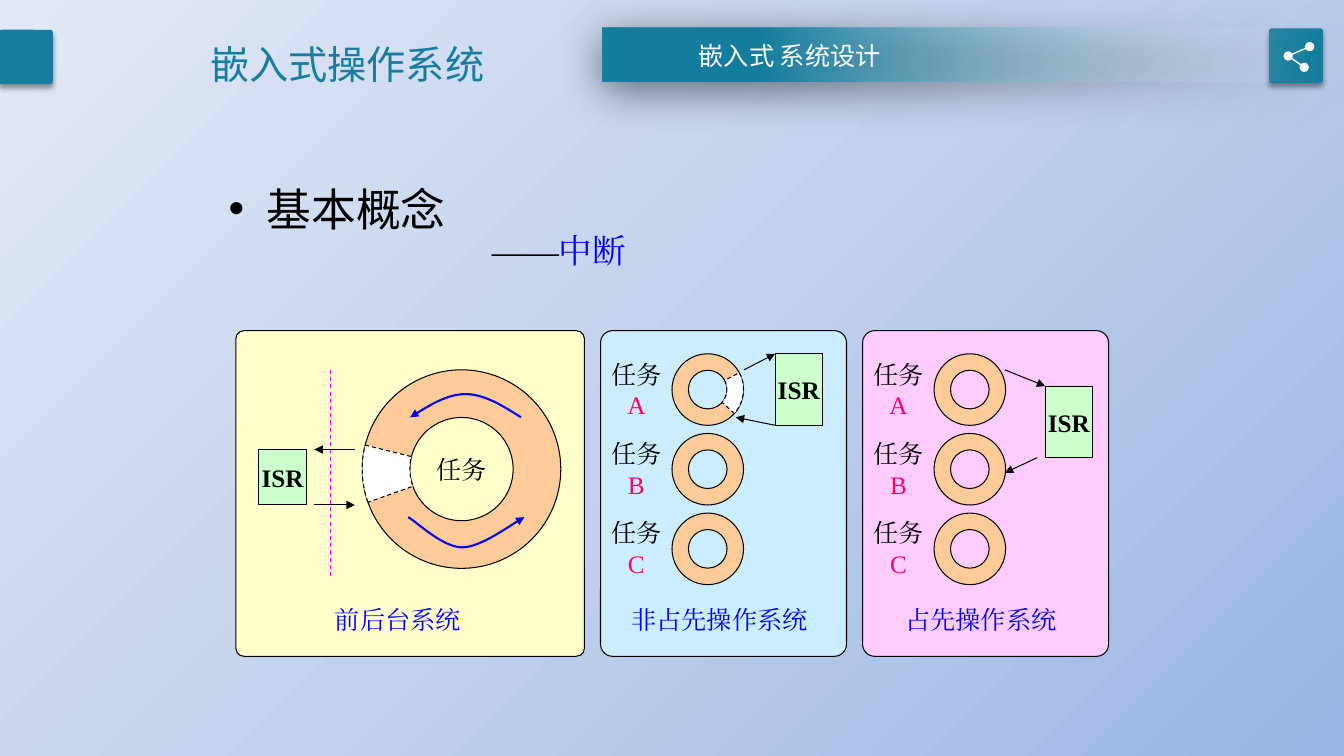
"""Builds a slide on interrupts in three kinds of embedded systems."""
from math import cos, radians, sin

from lxml import etree
from pptx import Presentation
from pptx.dml import color
from pptx.enum import dml, shapes, text
from pptx.oxml import ns
from pptx.util import Pt

KIND = shapes.MSO_SHAPE
MID = text.PP_ALIGN.CENTER
SANS, SERIF = "Noto Sans CJK SC", "Times New Roman"
TEAL, BLUE, ROSE, PEACH, MINT = "157E9F", "0000FF", "FF0066", "FFCC99", "CCFFCC"
BLACK, WHITE = "000000", "FFFFFF"

TITLE, HEAD = "嵌入式操作系统", "嵌入式 系统设计"
TOPIC, SUB = "基本概念", [("——", BLACK), ("中断", BLUE)]
TASK, NAMES, ISR = "任务", "ABC", "ISR"
TOP, TALL = 236.2, 232.6
PANELS = [
    dict(x=168.5, w=249, fill="FFFFCC", adj=0.025, name="前后台系统", mid=284.2, isr=(185, 321.1, 33.8, 39.6)),
    dict(x=429, w=175.7, fill="CCECFF", adj=0.049, name="非占先操作系统", mid=514, isr=(553.7, 252.7, 33.8, 51.1)),
    dict(x=616.2, w=175.7, fill="FFCCFF", adj=0.049, name="占先操作系统", mid=700.7, isr=(746.6, 275.8, 33.8, 51.1)),
]
ARROWS = [
    (253.4, 321.1, 224.6, 321.1), (224.6, 360.7, 253.4, 360.7),
    (531.4, 264.2, 553.7, 252.7), (553.7, 303.8, 525.6, 298.1),
    (717.8, 264.2, 746.6, 275.8), (740.9, 326.9, 717.8, 337.7),
]
TURNS = [
    [[(291.6, 369.4), (298, 373), (316, 391), (330.3, 391), (344, 391), (366, 374), (374.6, 369.4)]],
    [[(372.2, 298.1), (359.3, 290), (346, 281.5), (332.6, 281.5), (319, 281.5), (306, 290), (293, 298.1)]],
]
BIG, SMALL, PITCH = (258.8, 264.2, 141.8), 51.1, 56.9
NODES = [(935.5, 33.3), (920.2, 40), (931.6, 48.1)]


def rgb(code):
    return color.RGBColor.from_string(code)


def add(parent, tag, **attrs):
    return etree.SubElement(parent, ns.qn("a:" + tag), {k: str(v) for k, v in attrs.items()})


def stops(parent, items):
    fill = add(parent, "gradFill", rotWithShape=1)
    group = add(fill, "gsLst")
    for pos, code, alpha in items:
        tint = add(add(group, "gs", pos=pos * 1000), "srgbClr", val=code)
        if alpha < 100:
            add(tint, "alpha", val=alpha * 1000)
    return fill


def paint(item, fill=None, line=None, wide=0.75, dash=False, arrow=False):
    item.shadow.inherit = False
    if fill:
        item.fill.solid()
        item.fill.fore_color.rgb = rgb(fill)
    else:
        item.fill.background()
    if line:
        stroke(item, line, wide, dash, arrow)
    else:
        item.line.fill.background()
    return item


def stroke(item, code, wide=0.75, dash=False, arrow=False):
    item.line.color.rgb = rgb(code)
    item.line.width = Pt(wide)
    if dash:
        item.line.dash_style = dml.MSO_LINE.DASH
    if arrow:
        add(item.line._get_or_add_ln(), "tailEnd", type="triangle")


def shape(kind, x, y, w, h, adj=None, **look):
    item = slide.shapes.add_shape(kind, Pt(x), Pt(y), Pt(w), Pt(h))
    if adj is not None:
        item.adjustments[0] = adj
    return paint(item, **look)


def shade(item, alpha, blur, dist, turn):
    effect = item._element.spPr.find(ns.qn("a:effectLst"))
    drop = add(effect, "outerShdw", blurRad=Pt(blur), dist=Pt(dist), dir=turn * 60000, algn="ctr", rotWithShape=0)
    add(add(drop, "srgbClr", val=BLACK), "alpha", val=alpha * 1000)


def line(x1, y1, x2, y2, code=BLACK, **look):
    item = slide.shapes.add_connector(shapes.MSO_CONNECTOR.STRAIGHT, Pt(x1), Pt(y1), Pt(x2), Pt(y2))
    stroke(item, code, **look)
    add(item._element.spPr, "effectLst")


def path(points, close, **look):
    dots = [(x * 100, y * 100) for x, y in points]
    pen = slide.shapes.build_freeform(*dots[0], scale=127)
    pen.add_line_segments(dots[1:], close=close)
    return paint(pen.convert_to_shape(), **look)


def curve(p):
    """Sample two joined cubic curves given by seven points."""
    out = [p[0]]
    for a, b, c, d in (p[:4], p[3:]):
        for t in (i / 12 for i in range(1, 13)):
            s = 1 - t
            out.append(tuple(s**3 * a[k] + 3 * s * s * t * b[k] + 3 * s * t * t * c[k] + t**3 * d[k] for k in (0, 1)))
    return out


def wedge(x, y, size, hole, start, end):
    mid, out = size / 2, size / 2 - hole
    turns = [radians(start + (end - start) * i / 16) for i in range(17)]
    arcs = [(mid, a) for a in turns] + [(out, a) for a in reversed(turns)]
    path([(x + mid + r * cos(a), y + mid + r * sin(a)) for r, a in arcs], True, fill=WHITE, line=BLACK, dash=True)


def write(item, runs, size=18, font=SERIF, code=BLACK, bold=False, align=None, wrap=True, mid=False, bullet=None):
    frame = item.text_frame
    frame.word_wrap = wrap
    frame.vertical_anchor = text.MSO_ANCHOR.MIDDLE if mid else text.MSO_ANCHOR.TOP
    para = frame.paragraphs[0]
    para.alignment = align
    if bullet:
        props = para._p.get_or_add_pPr()
        props.set("marL", str(Pt(bullet)))
        props.set("indent", str(-Pt(bullet)))
        add(props, "buFont", typeface="Arial")
        add(props, "buChar", char="•")
    for words, tint in [(runs, code)] if isinstance(runs, str) else runs:
        run = para.add_run()
        run.text = words
        run.font.size, run.font.name, run.font.bold = Pt(size), font, bold
        run.font.color.rgb = rgb(tint)
        add(run._r.get_or_add_rPr(), "ea", typeface=font)


def label(x, y, w, h, runs, **form):
    write(slide.shapes.add_textbox(Pt(x), Pt(y), Pt(w), Pt(h)), runs, **form)


deck = Presentation()
deck.slide_width, deck.slide_height = Pt(960), Pt(540)
slide = deck.slides.add_slide(deck.slide_layouts[5])

slide.background.fill.solid()
back = slide.background._cSld.bg.bgPr
back.remove(back[0])
wash = stops(back, [(0, "9AB5E4", 100), (50, "C2D1ED", 100), (100, "E1E8F5", 100)])
add(add(wash, "path", path="circle"), "fillToRect", l=100000, t=100000)
add(wash, "tileRect", r=-100000, b=-100000)
back.insert(0, wash)

title = slide.shapes.title
title.left, title.top, title.width, title.height = Pt(66.2), Pt(15.1), Pt(363.6), Pt(61.2)
write(title, TITLE, size=28, font=SANS, code=TEAL, align=MID, mid=True)

for x, y in ((-0.7, 21.3), (906.5, 20.3)):
    shade(shape(KIND.ROUNDED_RECTANGLE, x, y, 38.5, 38.9, adj=0.05, fill=TEAL), 40, 4, 3, 90)
band = shape(KIND.RECTANGLE, 430.2, 19.5, 510.5, 38.9)
props = band._element.spPr
fade = stops(props, [(0, "F6F9FC", 0), (78, TEAL, 100)])
add(fade, "lin", ang=10800000, scaled=0)
props.replace(props.find(ns.qn("a:noFill")), fade)
shade(band, 50, 31, 6, 97)
label(490.3, 25.2, 147.6, 28.8, HEAD, font=SANS, code=WHITE, align=MID, wrap=False)
for x, y in NODES:
    shape(KIND.OVAL, x - 3.3, y - 3.3, 6.6, 6.6, fill=WHITE)
for end in (NODES[0], NODES[2]):
    line(*NODES[1], *end, code=WHITE, wide=1)

label(156.2, 126, 270, 52.6, TOPIC, size=32, font=SANS, bullet=27)
label(344.2, 160.6, 323.3, 36, SUB, size=24)

for panel in PANELS:
    shape(KIND.ROUNDED_RECTANGLE, panel["x"], TOP, panel["w"], TALL, adj=panel["adj"], fill=panel["fill"], line=BLACK)
    label(panel["mid"] - 79.2, 428.4, 158.4, 28.8, panel["name"], code=BLUE, align=MID)
    box = shape(KIND.RECTANGLE, *panel["isr"], fill=MINT, line=BLACK)
    write(box, ISR, bold=True, align=MID, wrap=False, mid=True)
for panel in PANELS[1:]:
    for i, name in enumerate(NAMES):
        shape(KIND.DONUT, panel["x"] + 51, 252.7 + i * PITCH, SMALL, SMALL, adj=0.23, fill=PEACH, line=BLACK)
        label(panel["x"], 253.3 + i * 56.5, 51.1, 50.4, [(TASK, BLACK), (name, ROSE)], align=MID)
wedge(PANELS[1]["x"] + 51, 252.7, SMALL, 11.8, -28, 42)

x, y, size = BIG
shape(KIND.DONUT, x, y, size, size, adj=0.24, fill=PEACH, line=BLACK)
label(293, 321.1, 73.4, 28.8, TASK, align=MID)
wedge(x, y, size, 34, 160.5, 194)
for (points,) in TURNS:
    path(curve(points), False, line=BLUE, wide=1.5, arrow=True)
line(236.2, 264.2, 236.2, 411.8, code="FF00FF", dash=True)
for ends in ARROWS:
    line(*ends, arrow=True)

deck.save("out.pptx")
